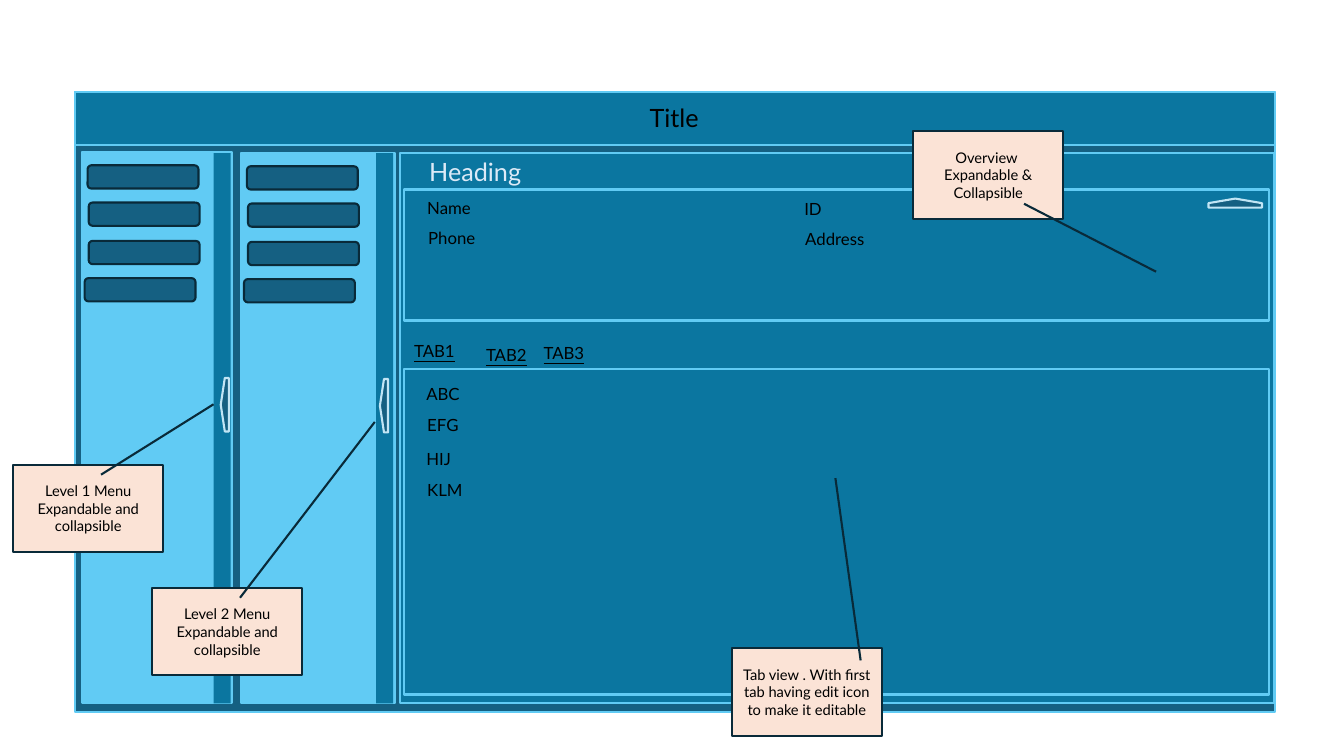
from pptx import Presentation
from pptx.dml.color import RGBColor
from pptx.enum.shapes import MSO_SHAPE
from pptx.enum.text import MSO_ANCHOR, MSO_AUTO_SIZE, PP_ALIGN
from pptx.util import Pt

FONT = "Lato"
BLACK = RGBColor(0x00, 0x00, 0x00)
NAVY = RGBColor(0x09, 0x2A, 0x39)
DARK_BLUE = RGBColor(0x15, 0x60, 0x82)
BLUE = RGBColor(0x0B, 0x76, 0xA0)
SKY = RGBColor(0x61, 0xCB, 0xF4)
PALE_SKY = RGBColor(0xC1, 0xE5, 0xF5)
HEADING_BLUE = RGBColor(0xDC, 0xEA, 0xF7)
PEACH = RGBColor(0xFB, 0xE3, 0xD6)

presentation = Presentation()
presentation.slide_width = Pt(960)
presentation.slide_height = Pt(540)
slide = presentation.slides.add_slide(presentation.slide_layouts[5])


def add_box(kind, left, top, width, height, fill, line=None):
    shape = slide.shapes.add_shape(kind, Pt(left), Pt(top), Pt(width), Pt(height))
    shape.shadow.inherit = False
    shape.fill.solid()
    shape.fill.fore_color.rgb = fill
    if line is None:
        shape.line.fill.background()
    else:
        shape.line.color.rgb = line
        shape.line.width = Pt(1.5)
    return shape


def write(shape, lines, size, color=BLACK, align=PP_ALIGN.LEFT, underline=None):
    frame = shape.text_frame
    frame.word_wrap = True
    frame.text = lines
    for paragraph in frame.paragraphs:
        paragraph.alignment = align
        paragraph.font.name = FONT
        paragraph.font.size = Pt(size)
        paragraph.font.color.rgb = color
        paragraph.font.underline = underline


# Window and title bar
add_box(MSO_SHAPE.RECTANGLE, 53.3, 65.5, 857.5, 442.8, DARK_BLUE, SKY)
add_box(MSO_SHAPE.RECTANGLE, 53.3, 65.5, 857.5, 38.2, BLUE, SKY)
title = slide.shapes.title
title.left, title.top, title.width, title.height = Pt(298), Pt(69), Pt(367), Pt(30)
write(title, "Title", 18, align=PP_ALIGN.CENTER)
title.text_frame.vertical_anchor = MSO_ANCHOR.MIDDLE
title.element.getparent().append(title.element)

# Two menu columns: left, top, width, strip left, arrow left
menus = [
    (58.3, 108.7, 107.3, 152.6, 157.7),
    (172.1, 109.4, 110.2, 268.6, 271.4),
]
button_offsets = [(4.3, 9.4), (5.1, 36), (5.1, 63.4), (2.2, 90)]
arrows = []
for left, top, width, strip_left, arrow_left in menus:
    add_box(MSO_SHAPE.RECTANGLE, left, top, width, 393.1, SKY, SKY)
    for across, down in button_offsets:
        add_box(MSO_SHAPE.ROUNDED_RECTANGLE, left + across, top + down,
                79.2, 16.6, DARK_BLUE, NAVY)
    add_box(MSO_SHAPE.RECTANGLE, strip_left, 109.4, 12.2, 393.1, BLUE)
    arrows.append(add_box(MSO_SHAPE.PENTAGON, arrow_left, top + 161.3,
                          5.8, 38.2, DARK_BLUE, PALE_SKY))

# Main panel with the overview and tab areas
add_box(MSO_SHAPE.RECTANGLE, 285.8, 109.4, 624.2, 393.1, BLUE, SKY)
for top, height in [(135.4, 93.6), (263.5, 232.6)]:
    add_box(MSO_SHAPE.RECTANGLE, 288.7, top, 617.8, height, BLUE, SKY)
overview_arrow = add_box(MSO_SHAPE.PENTAGON, 879.1, 126, 6.5, 38.2, DARK_BLUE, PALE_SKY)
overview_arrow.rotation = 90
arrows.append(overview_arrow)
for arrow in arrows:
    arrow.element.spPr.xfrm.set("flipH", "1")

# Labels: text, left, top, width, size, color, underline
labels = [("Heading", 299.5, 108, 367, 18, HEADING_BLUE, None)]
for text, left, top in [
    ("Name", 298.1, 137.5), ("ID", 567.4, 138.2),
    ("Phone", 298.8, 159.1), ("Address", 568.1, 159.8),
    ("ABC", 297.4, 270.7), ("EFG", 298.1, 292.6),
    ("HIJ", 297.4, 317), ("KLM", 298.1, 339.1),
]:
    labels.append((text, left, top, 72.7, 12, BLACK, None))
for text, left, top in [
    ("TAB1", 288.7, 239.8), ("TAB2", 340.1, 242.6), ("TAB3", 381.2, 241.2),
]:
    labels.append((text, left, top, 44, 12, BLACK, True))
for text, left, top, width, size, color, underline in labels:
    label = slide.shapes.add_textbox(Pt(left), Pt(top), Pt(width), Pt(size + 10))
    write(label, text, size, color, underline=underline)
    label.text_frame.auto_size = MSO_AUTO_SIZE.SHAPE_TO_FIT_TEXT

# Callouts: text, left, top, pointer start and end (y, x) as shares of the box
callouts = [
    ("Level 1 Menu Expandable and collapsible", 9.4, 331.9,
     (0.115, 0.585, -0.689, 1.334)),
    ("Level 2 Menu Expandable and collapsible", 108.7, 419.8,
     (0.115, 0.585, -1.892, 1.482)),
    ("Overview \nExpandable & Collapsible", 652.3, 93.6,
     (0.831, 0.738, 1.606, 1.617)),
    ("Tab view . With first tab having edit icon to make it editable", 522.7, 463,
     (0.14, 0.858, -1.941, 0.69)),
]
for text, left, top, pointer in callouts:
    callout = add_box(MSO_SHAPE.LINE_CALLOUT_1, left, top, 107.3, 62.6, PEACH, NAVY)
    for index, share in enumerate(pointer):
        callout.adjustments[index] = share
    write(callout, text, 10.5, align=PP_ALIGN.CENTER)
    callout.text_frame.vertical_anchor = MSO_ANCHOR.MIDDLE

presentation.save("out.pptx")
